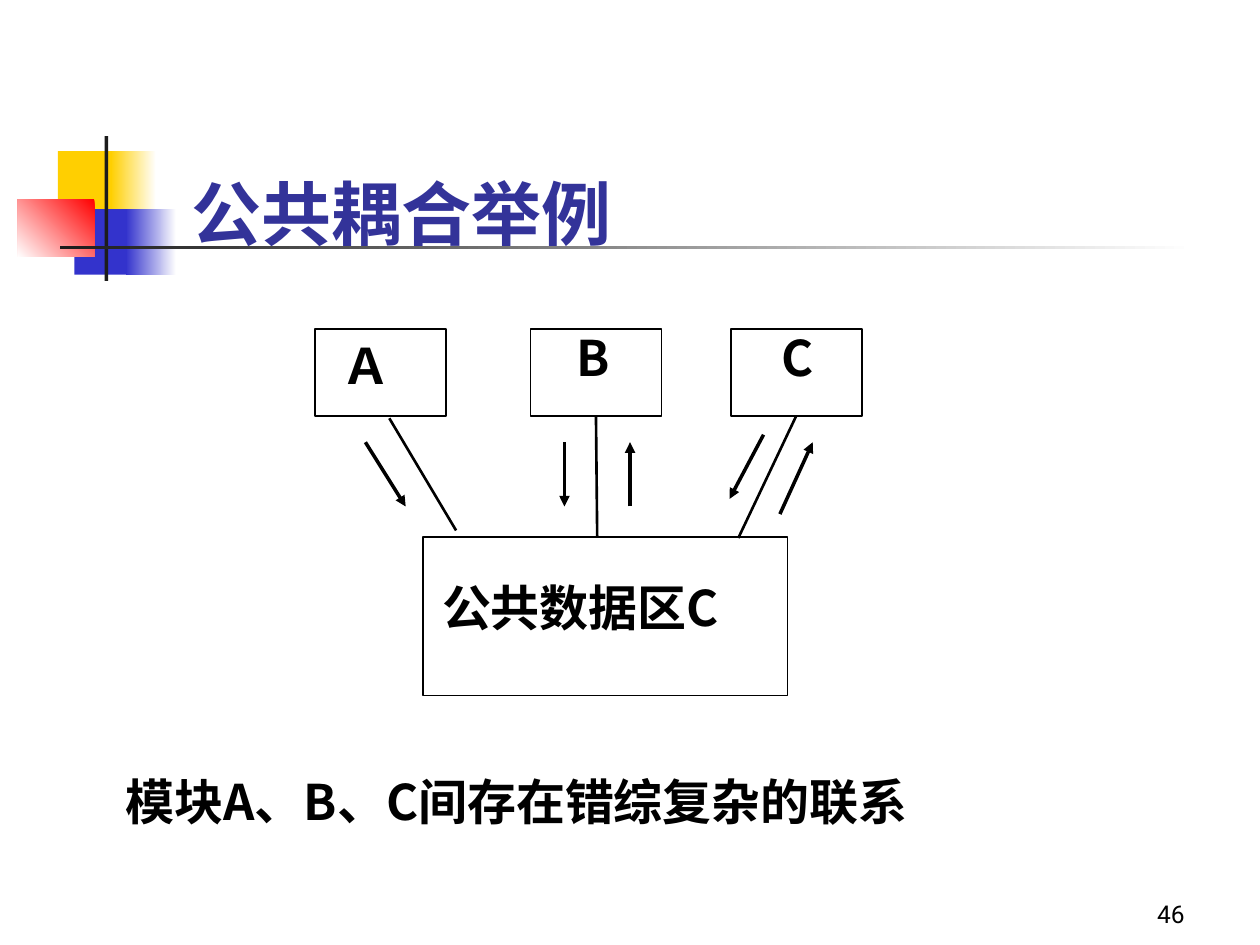
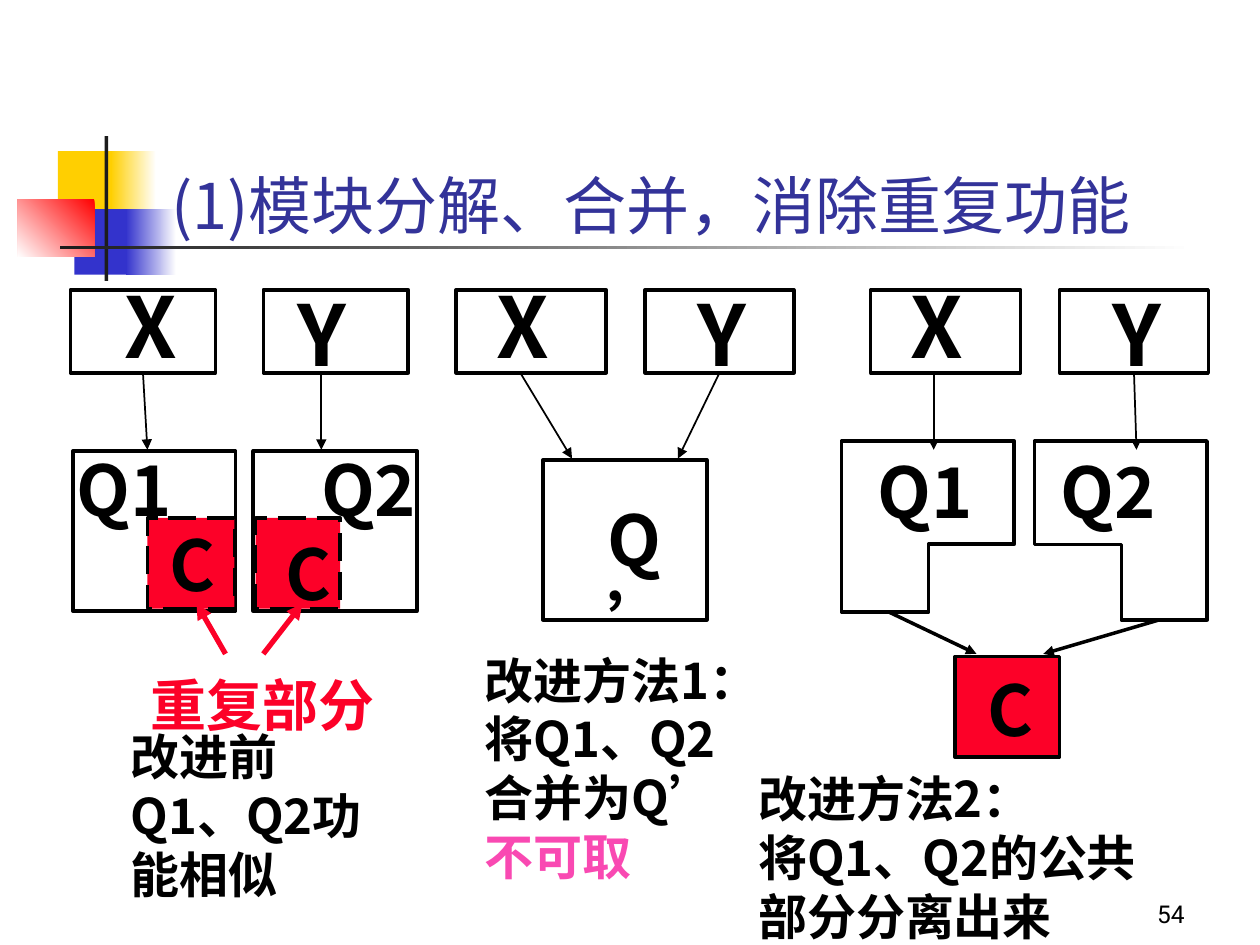
"""Build two slides on module coupling and on removing duplicated functions."""
from lxml import etree
from pptx import Presentation
from pptx.dml.color import RGBColor
from pptx.enum import dml, shapes, text
from pptx.oxml.ns import qn
from pptx.util import Inches, Pt

BLACK = RGBColor(0x00, 0x00, 0x00)
WHITE = RGBColor(0xFF, 0xFF, 0xFF)
INK = RGBColor(0x1C, 0x1C, 0x1C)
YELLOW = RGBColor(0xFF, 0xCF, 0x01)
BLUE = RGBColor(0x33, 0x33, 0xCC)
RED = RGBColor(0xFF, 0x00, 0x00)
TITLE_BLUE = RGBColor(0x33, 0x33, 0x99)
SIGNAL_RED = RGBColor(0xFC, 0x01, 0x28)
PINK = RGBColor(0xF9, 0x49, 0xB2)
CJK_FONT = "Noto Sans CJK SC"
NUMBER_FONT = "Roboto"
LINE_RATIO = 1.2
JOIN_DISTANCE = Inches(0.05)

# Decoration: frame, first colour, second colour or None, angle
DECORATION = [
    ((0.46, 1.2, 0.48, 0.52), YELLOW, None, 0),
    ((0.88, 1.2, 0.36, 0.52), WHITE, YELLOW, 180),
    ((0.59, 1.66, 0.46, 0.52), BLUE, None, 0),
    ((1, 1.66, 0.4, 0.52), WHITE, BLUE, 180),
    ((0.14, 1.58, 0.61, 0.46), RED, WHITE, 225),
    ((0.83, 1.08, 0.03, 1.15), INK, None, 0),
    ((0.48, 1.95, 9, 0.03), WHITE, INK, 180),
]

# Boxes: frame, fill, line width, dashed
# Labels: lines, left, top, width, size, colour
# Links: start, end, line width, colour, arrow
COUPLING = {
    "title": ("公共耦合举例", (1.42, 1.17, 5.42, 0.94), 40, True, text.MSO_ANCHOR.MIDDLE),
    "number": "46",
    "boxes": [((left, 2.61, 1.04, 0.69), WHITE, 1, False) for left in (2.5, 4.21, 5.8)]
    + [((3.36, 4.26, 2.89, 1.26), WHITE, 1, False)],
    "outlines": [],
    "labels": [
        (["Ａ"], 2.61, 2.56, 0.59, 28, BLACK),
        (["B"], 4.48, 2.5, 0.46, 28, BLACK),
        (["C"], 6.1, 2.5, 0.45, 28, BLACK),
        (["公共数据区C"], 3.41, 4.48, 2.98, 28, BLACK),
        (["模块A、B、C间存在错综复杂的联系"], 0.9, 6.02, 7.1, 28, BLACK),
    ],
    "links": [
        ((3.09, 3.32), (3.62, 4.21), 1.5, BLACK, False),
        ((4.74, 3.26), (4.74, 4.27), 1.5, BLACK, False),
        ((6.32, 3.32), (5.86, 4.27), 1.5, BLACK, False),
        ((2.9, 3.51), (3.22, 4.02), 2, BLACK, True),
        ((4.48, 3.51), (4.48, 4.02), 2, BLACK, True),
        ((5, 4.02), (5, 3.51), 2, BLACK, True),
        ((6.06, 3.45), (5.79, 3.96), 2, BLACK, True),
        ((6.19, 4.08), (6.45, 3.51), 2, BLACK, True),
    ],
}

CALLERS = [
    ("X", 0.56, 1.15, 0.89), ("Y", 2.09, 1.15, 2.26),
    ("X", 3.62, 1.19, 3.84), ("Y", 5.12, 1.18, 5.44),
    ("X", 6.91, 1.19, 7.13), ("Y", 8.41, 1.18, 8.73),
]
CALLER_TEXT_TOP = {"X": 2.08, "Y": 2.14}

MERGING = {
    "title": ("(1)模块分解、合并，消除重复功能", (1.26, 0.67, 8.52, 1.25), 36, False,
              text.MSO_ANCHOR.BOTTOM),
    "number": "54",
    "boxes": [((left, 2.3, width, 0.66), None, 2, False) for _, left, width, _ in CALLERS]
    + [
        ((0.58, 3.58, 1.29, 1.27), None, 2, False),
        ((1.17, 4.11, 0.69, 0.72), SIGNAL_RED, 2, True),
        ((2.01, 3.58, 1.3, 1.27), None, 2, False),
        ((2.03, 4.11, 0.67, 0.72), SIGNAL_RED, 2, True),
        ((4.31, 3.65, 1.3, 1.27), None, 2, False),
        ((7.58, 5.21, 0.83, 0.8), SIGNAL_RED, 2, False),
    ],
    "outlines": [
        [(6.68, 3.5), (8.05, 3.5), (8.05, 4.32), (7.37, 4.32), (7.37, 4.86), (6.68, 4.86)],
        [(8.21, 3.5), (9.58, 3.5), (9.58, 4.92), (8.9, 4.92), (8.9, 4.32), (8.21, 4.32)],
    ],
    "labels": [([name], left, CALLER_TEXT_TOP[name], 0.64, 48, BLACK)
               for name, _, _, left in CALLERS]
    + [
        (["Q1"], 0.51, 3.44, 1.0, 40, BLACK),
        (["C"], 1.25, 4.04, 0.72, 40, BLACK),
        (["Q2"], 2.45, 3.44, 1.0, 40, BLACK),
        (["C"], 2.17, 4.11, 0.72, 40, BLACK),
        (["Q’"], 4.72, 3.84, 0.76, 40, BLACK),
        (["Q1"], 6.87, 3.46, 1.0, 40, BLACK),
        (["Q2"], 8.32, 3.46, 1.0, 40, BLACK),
        (["C"], 7.74, 5.19, 0.72, 40, BLACK),
        (["重复部分"], 1.1, 5.22, 2.1, 32, SIGNAL_RED),
        (["改进前", "Q1、Q2功能相似"], 0.94, 5.67, 2.03, 28, BLACK),
        (["改进方法1：", "将Q1、Q2", "合并为Q’", "不可取"], 3.75, 5.06, 2.56, 28, BLACK),
        (["改进方法2：", "将Q1、Q2的公共", "部分分离出来"], 5.92, 6, 3.7, 28, BLACK),
    ],
    "links": [((x, 2.96), (x, 3.57), 1, BLACK, True) for x in (1.17, 2.55, 7.41, 9.02)]
    + [
        ((4.13, 2.96), (4.54, 3.64), 1, BLACK, True),
        ((5.73, 2.96), (5.38, 3.64), 1, BLACK, True),
        ((7.06, 4.86), (7.75, 5.19), 2, BLACK, True),
        ((9.2, 4.92), (8.28, 5.19), 2, BLACK, True),
        ((1.79, 5.19), (1.56, 4.79), 3, SIGNAL_RED, True),
        ((2.09, 5.19), (2.4, 4.79), 3, SIGNAL_RED, True),
    ],
}
LINE_COLORS = {"不可取": PINK}


def inches(values):
    return [Inches(value) for value in values]


def paint(shape, fill, line_width=0, dashed=False):
    shape.shadow.inherit = False
    if fill is None:
        shape.fill.background()
    else:
        shape.fill.solid()
        shape.fill.fore_color.rgb = fill
    if line_width:
        shape.line.color.rgb = BLACK
        shape.line.width = Pt(line_width)
    else:
        shape.line.fill.background()
    if dashed:
        shape.line.dash_style = dml.MSO_LINE.LONG_DASH


def add_box(page, frame, fill, line_width=0, dashed=False):
    box = page.shapes.add_shape(shapes.MSO_SHAPE.RECTANGLE, *inches(frame))
    paint(box, fill, line_width, dashed)
    return box


def add_decoration(page):
    for frame, first, second, angle in DECORATION:
        band = add_box(page, frame, first)
        if second is not None:
            band.fill.gradient()
            band.fill.gradient_angle = angle
            for stop, color in zip(band.fill.gradient_stops, (first, second)):
                stop.color.rgb = color


def write(shape, lines, size, color, bold, font=CJK_FONT,
          anchor=text.MSO_ANCHOR.TOP, align=text.PP_ALIGN.LEFT):
    frame = shape.text_frame
    frame.text = "\n".join(lines)
    frame.word_wrap = True
    frame.vertical_anchor = anchor
    frame.margin_left = frame.margin_right = Inches(0.1)
    frame.margin_top, frame.margin_bottom = Inches(0.1), 0
    for para in frame.paragraphs:
        para.alignment = align
        para.line_spacing = Pt(size * LINE_RATIO)
        for span in para.runs:
            span.font.name = font
            span.font.size = Pt(size)
            span.font.bold = bold
            span.font.color.rgb = LINE_COLORS.get(span.text, color)
            etree.SubElement(span.font._element, qn("a:ea"), typeface=font)


def add_title(page, words, frame, size, bold, anchor):
    title = page.shapes.title
    title.left, title.top, title.width, title.height = inches(frame)
    write(title, [words], size, TITLE_BLUE, bold, anchor=anchor)
    title.text_frame.auto_size = text.MSO_AUTO_SIZE.NONE


def add_label(page, lines, left, top, width, size, color):
    height = len(lines) * size * LINE_RATIO / 72 + 0.1
    label = page.shapes.add_textbox(*inches((left, top, width, height)))
    write(label, lines, size, color, True)


def add_outline(page, corners):
    start, *others = [inches(corner) for corner in corners]
    builder = page.shapes.build_freeform(*start)
    builder.add_line_segments(others, close=True)
    paint(builder.convert_to_shape(), None, 2)


def join_start(link, boxes):
    for box in boxes:
        across = abs(link.begin_x - box.left - box.width // 2)
        down = abs(link.begin_y - box.top - box.height)
        if max(across, down) <= JOIN_DISTANCE:
            link.begin_connect(box, 2)


def add_link(page, boxes, start, end, width, color, arrow):
    link = page.shapes.add_connector(shapes.MSO_CONNECTOR.STRAIGHT, *inches(start + end))
    link.line.color.rgb = color
    link.line.width = Pt(width)
    if arrow:
        etree.SubElement(link.line._get_or_add_ln(), qn("a:tailEnd"), type="triangle")
    etree.SubElement(link._element.spPr, qn("a:effectLst"))
    join_start(link, boxes)


def add_page(deck, content):
    page = deck.slides.add_slide(deck.slide_layouts[5])
    add_decoration(page)
    add_title(page, *content["title"])
    boxes = [add_box(page, *box) for box in content["boxes"]]
    for corners in content["outlines"]:
        add_outline(page, corners)
    for label in content["labels"]:
        add_label(page, *label)
    for link in content["links"]:
        add_link(page, boxes, *link)
    number = page.shapes.add_textbox(*inches((7.42, 6.92, 2.08, 0.5)))
    write(number, [content["number"]], 14, BLACK, False, NUMBER_FONT,
          text.MSO_ANCHOR.BOTTOM, text.PP_ALIGN.RIGHT)
    number.text_frame.margin_bottom = Inches(0.05)


def main():
    deck = Presentation()
    deck.slide_width, deck.slide_height = Inches(10), Inches(7.5)
    for content in (COUPLING, MERGING):
        add_page(deck, content)
    deck.save("out.pptx")


if __name__ == "__main__":
    main()
